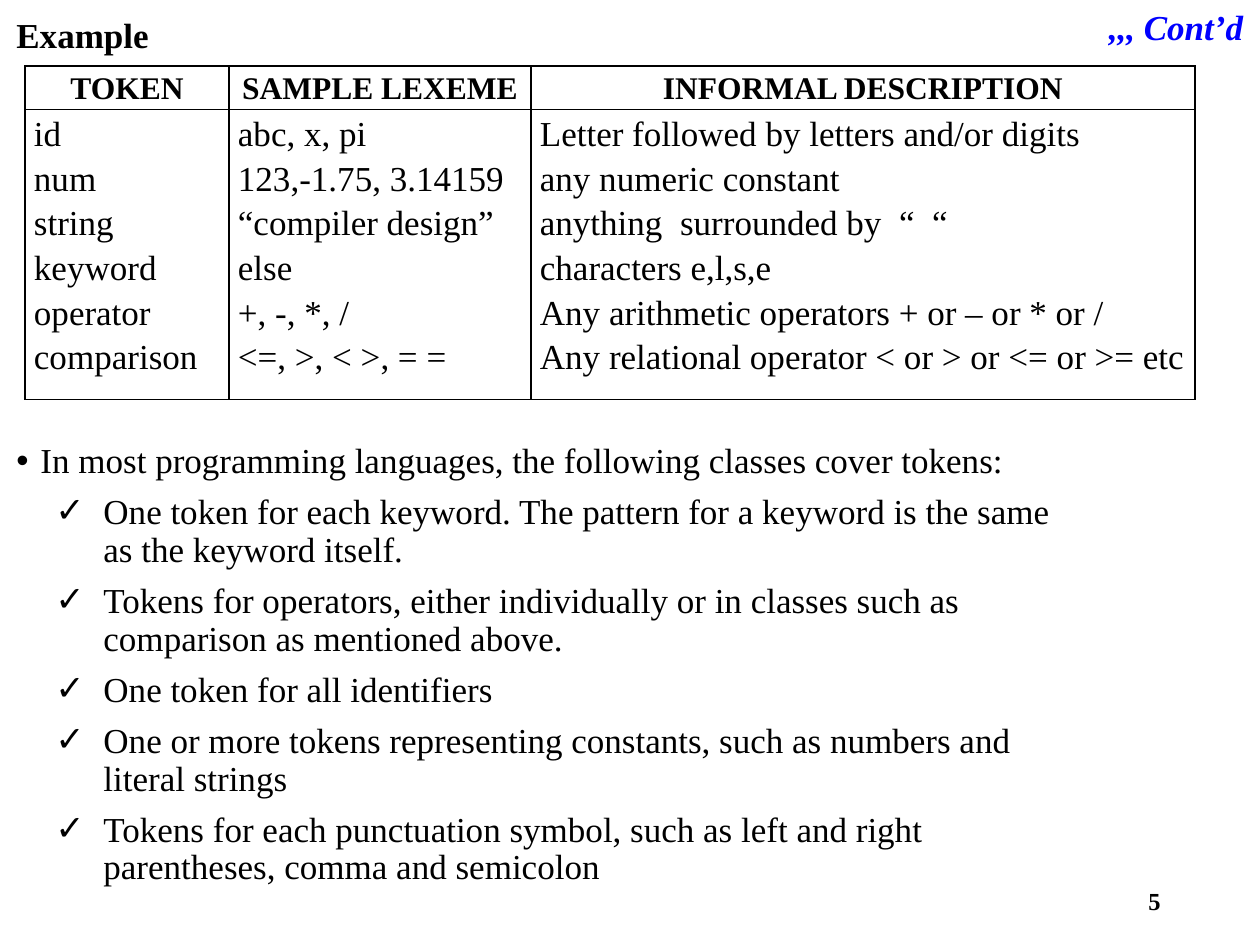
from dataclasses import dataclass

from lxml import etree
from pptx import Presentation
from pptx import util as u
from pptx.dml.color import RGBColor
from pptx.enum import text
from pptx.oxml.ns import qn

ALIGN, ANCHOR = text.PP_ALIGN, text.MSO_ANCHOR
PX_PER_INCH = 126


@dataclass(frozen=True)
class Theme:
    font: str = "Times New Roman"
    ink: str = "000000"
    accent: str = "0000FF"
    body: int = 20
    header: int = 18
    number: int = 14
    line: float = 21.6
    gap: float = 7.5
    table_line: float = 1.15


THEME = Theme()

HEADERS = ["TOKEN", "SAMPLE LEXEME", "INFORMAL DESCRIPTION"]
TOKENS = [
    ("id", "abc, x, pi", "Letter followed by letters and/or digits"),
    ("num", "123,-1.75, 3.14159", "any numeric constant"),
    ("string", "“compiler design”", "anything  surrounded by  “  “"),
    ("keyword", "else", "characters e,l,s,e"),
    ("operator", "+, -, *, /", "Any arithmetic operators + or – or * or /"),
    ("comparison", "<=, >, < >, = =", "Any relational operator < or > or <= or >= etc"),
]
INTRO = "In most programming languages, the following classes cover tokens:"
CLASSES = [
    "One token for each keyword. The pattern for a keyword is the same as the keyword itself.",
    "Tokens for operators, either individually or in classes such as comparison as mentioned above.",
    "One token for all identifiers",
    "One or more tokens representing constants, such as numbers and literal strings",
    "Tokens for each punctuation symbol, such as left and right parentheses, comma and semicolon",
]


def px(length):
    return u.Emu(round(length * u.Inches(1) / PX_PER_INCH))


def add_bullet(para, mark, margin, hang):
    props = para._p.get_or_add_pPr()
    props.set("marL", str(px(margin)))
    props.set("indent", str(-px(hang)))
    etree.SubElement(props, qn("a:buFont")).set("typeface", "Arial")
    etree.SubElement(props, qn("a:buChar")).set("char", mark)


def write(frame, words, first=True, size=THEME.body, color=THEME.ink, bold=False,
          italic=False, align=ALIGN.LEFT, line=None, before=0, bullet=None):
    """Write one paragraph; bullet is (mark, margin, hang)."""
    para = frame.paragraphs[0] if first else frame.add_paragraph()
    para.alignment = align
    if line:
        para.line_spacing = line
    if before and not first:
        para.space_before = u.Pt(before)
    if bullet:
        add_bullet(para, *bullet)
    span = para.add_run()
    span.text = words
    span.font.name, span.font.size = THEME.font, u.Pt(size)
    span.font.bold, span.font.italic = bold, italic
    span.font.color.rgb = RGBColor.from_string(color)


def add_frame(page, box, anchor=ANCHOR.TOP, wrap=True):
    frame = page.shapes.add_textbox(*map(px, box)).text_frame
    frame.word_wrap = wrap
    frame.vertical_anchor = anchor
    return frame


def add_borders(cell):
    props = cell._tc.get_or_add_tcPr()
    for position, side in enumerate(("lnL", "lnR", "lnT", "lnB")):
        border = etree.Element(qn(f"a:{side}"), w=str(u.Pt(1)))
        fill = etree.SubElement(border, qn("a:solidFill"))
        etree.SubElement(fill, qn("a:srgbClr")).set("val", THEME.ink)
        props.insert(position, border)


def add_token_table(page, box, widths, heights):
    table = page.shapes.add_table(len(heights), len(widths), *map(px, box)).table
    table.first_row = table.horz_banding = False
    for row, height in zip(table.rows, heights):
        row.height = px(height)
    for column, width in zip(table.columns, widths):
        column.width = px(width)
    for cell in table.iter_cells():
        cell.margin_left = cell.margin_right = px(9)
        cell.margin_top = cell.margin_bottom = 0
        cell.fill.background()
        add_borders(cell)
    for index, (header, entries) in enumerate(zip(HEADERS, zip(*TOKENS))):
        write(table.cell(0, index).text_frame, header, size=THEME.header,
              bold=True, align=ALIGN.CENTER, line=THEME.table_line)
        for place, entry in enumerate(entries):
            write(table.cell(1, index).text_frame, entry, first=place == 0,
                  align=ALIGN.JUSTIFY, line=THEME.table_line)


def add_class_list(page, box):
    frame = add_frame(page, box)
    spacing = {"line": u.Pt(THEME.line), "before": THEME.gap}
    write(frame, INTRO, bullet=("•", 24, 24), **spacing)
    for words in CLASSES:
        write(frame, words, first=False, bullet=("✓", 87, 48), **spacing)


def add_headings(page, box):
    left, top, width, height = box
    write(add_frame(page, (left, top + 5, 300, height)), "Example", bold=True)
    title = add_frame(page, (left + width - 160, top, 160, height), ANCHOR.MIDDLE, wrap=False)
    write(title, ",,, Cont’d", color=THEME.accent, bold=True, italic=True, align=ALIGN.CENTER)


def add_page_number(page, box):
    write(add_frame(page, box, ANCHOR.MIDDLE), "5", size=THEME.number,
          bold=True, align=ALIGN.RIGHT)


def main():
    deck = Presentation()
    deck.slide_width, deck.slide_height = px(1260), px(945)
    page = deck.slides.add_slide(deck.slide_layouts[6])
    add_headings(page, (4, 2, 1252, 50))
    add_class_list(page, (4, 437, 1093, 460))
    add_page_number(page, (890, 876, 283, 50))
    add_token_table(page, (25, 66, 1170, 311), (204, 302, 664), (43, 268))
    deck.save("out.pptx")


if __name__ == "__main__":
    main()
